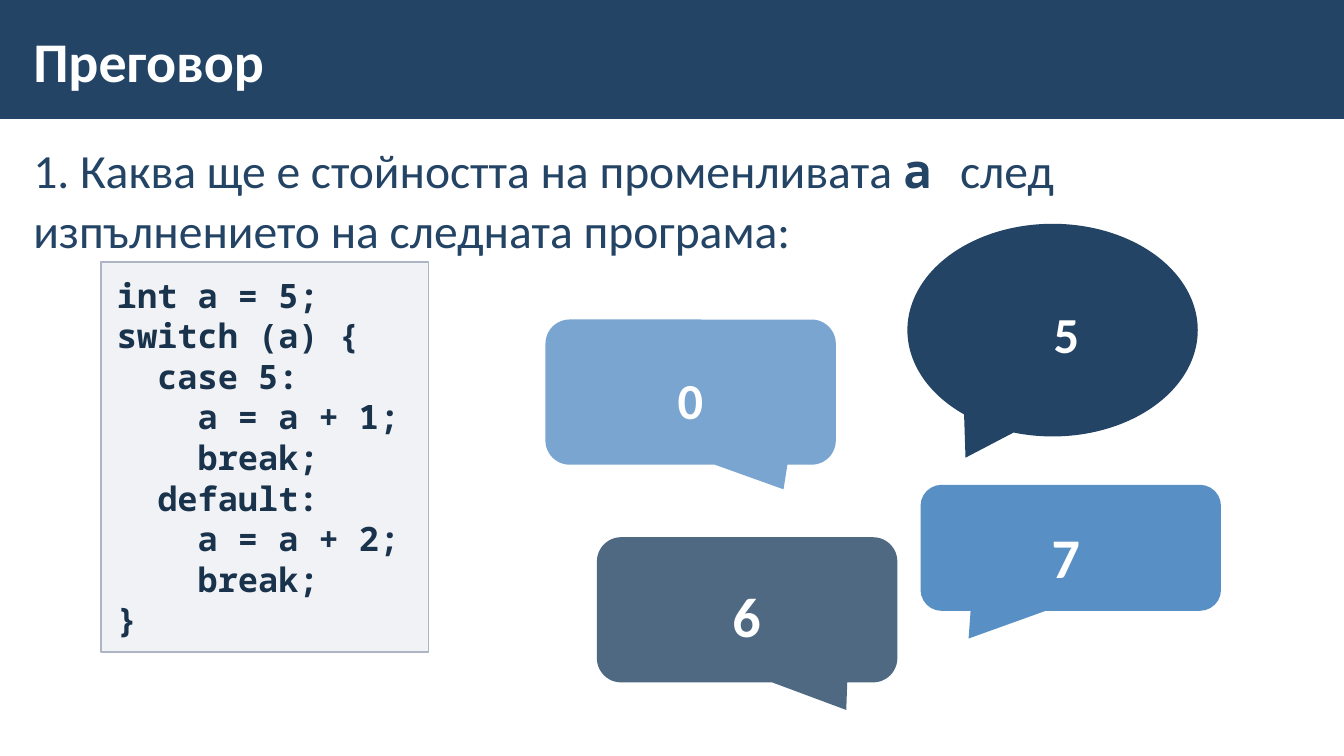
import dataclasses

import pptx
import pptx.dml.color
import pptx.enum.shapes
import pptx.enum.text
import pptx.oxml
import pptx.oxml.ns
import pptx.util

EMU_PER_PX = 9144  # 100 px to the inch
SHAPE = pptx.enum.shapes.MSO_SHAPE
ALIGN = pptx.enum.text.PP_ALIGN
ANCHOR = pptx.enum.text.MSO_ANCHOR


@dataclasses.dataclass(frozen=True)
class Theme:
    navy: str = "234465"
    blue: str = "588FC5"
    white: str = "FFFFFF"
    code_ink: str = "1A334C"
    code_fill: str = "A3ABBC"
    code_line: str = "ADB4C3"
    sans: str = "Calibri"
    mono: str = "Noto Sans Mono"
    title_size: int = 40
    question_size: int = 34
    code_size: int = 24
    code_pitch: int = 29
    answer_size: int = 36
    big_answer_size: int = 40


THEME = Theme()


@dataclasses.dataclass(frozen=True)
class Answer:
    text: str
    size: int
    outline: SHAPE
    box: tuple
    tail: tuple
    color: str
    label: tuple  # offset from the callout, then size
    opacity: int = 100
    align: ALIGN = ALIGN.CENTER
    indent: int = 0
    spacing: float = 1.1


TITLE = "Преговор"
QUESTION = ("1. Каква ще е стойността на променливата ", "а ", "след ",
            "изпълнението на следната програма:")
CODE = [(0, "int a = 5;"), (0, "switch (a) {"), (1, "case 5:"),
        (2, "a = a + 1;"), (2, "break;"), (1, "default:"),
        (2, "a = a + 2;"), (2, "break;"), (0, "}")]
CODE_INDENT = 40
ROUNDED = SHAPE.ROUNDED_RECTANGULAR_CALLOUT
ANSWERS = [
    Answer("5", THEME.answer_size, SHAPE.OVAL_CALLOUT, (900, 222, 288, 211),
           (-0.3, 0.6), THEME.navy, (62, 67, 171, 84),
           align=ALIGN.LEFT, indent=67, spacing=1),
    Answer("7", THEME.big_answer_size, ROUNDED, (913, 481, 298, 125),
           (-0.34, 0.72), THEME.blue, (-3, 19, 294, 94)),
    Answer("0", THEME.answer_size, ROUNDED, (541, 317, 288, 144),
           (0.32, 0.67), THEME.blue, (115, 31, 91, 87),
           opacity=80, align=ALIGN.LEFT),
    Answer("6", THEME.big_answer_size, ROUNDED, (592, 533, 298, 144),
           (0.33, 0.69), THEME.navy, (14, 25, 269, 94), opacity=80),
]


def px(*lengths):
    return [pptx.util.Emu(length * EMU_PER_PX) for length in lengths]


def rgb(color):
    return pptx.dml.color.RGBColor.from_string(color)


def paint(shape, color, opacity=100):
    shape.fill.solid()
    shape.fill.fore_color.rgb = rgb(color)
    if opacity < 100:
        fill_color = shape._element.spPr.find(".//" + pptx.oxml.ns.qn("a:srgbClr"))
        fill_color.append(pptx.oxml.parse_xml(
            f'<a:alpha {pptx.oxml.ns.nsdecls("a")} val="{opacity * 1000}"/>'))


def add_filled(shapes, outline, box, color, opacity=100):
    shape = shapes.add_shape(outline, *px(*box))
    shape.shadow.inherit = False
    paint(shape, color, opacity)
    shape.line.fill.background()
    return shape


def place(shape, box):
    shape.left, shape.top, shape.width, shape.height = px(*box)


def set_frame(frame, side, edge, anchor=ANCHOR.TOP):
    frame.word_wrap = True
    frame.auto_size = pptx.enum.text.MSO_AUTO_SIZE.NONE
    frame.vertical_anchor = anchor
    frame.margin_left, frame.margin_right = px(side, side)
    frame.margin_top, frame.margin_bottom = px(edge, edge)


def format_paragraph(paragraph, align=ALIGN.LEFT, spacing=1, gap=0, indent=0):
    """Set alignment and spacing, with no bullet and a left indent in px."""
    paragraph.alignment = align
    paragraph.line_spacing = spacing
    paragraph.space_before = paragraph.space_after = pptx.util.Pt(gap)
    properties = paragraph._p.get_or_add_pPr()
    properties.set("marL", str(indent * EMU_PER_PX))
    properties.set("indent", "0")
    properties.append(pptx.oxml.parse_xml(
        f'<a:buNone {pptx.oxml.ns.nsdecls("a")}/>'))


def add_run(paragraph, text, size, color, font=THEME.sans, bold=True):
    run = paragraph.add_run()
    run.text = text
    run.font.size = pptx.util.Pt(size)
    run.font.color.rgb = rgb(color)
    run.font.name = font
    run.font.bold = bold


def header(slide, box):
    left, top, width, height = box
    band = add_filled(slide.shapes, SHAPE.RECTANGLE, box, THEME.navy)
    title = slide.shapes.title
    title._element.addprevious(band._element)
    place(title, (left + 21, top + 13, 1039, height - 23))
    set_frame(title.text_frame, 12, 4, ANCHOR.MIDDLE)
    paragraph = title.text_frame.paragraphs[0]
    format_paragraph(paragraph)
    add_run(paragraph, TITLE, THEME.title_size, THEME.white)


def question(body, box):
    place(body, box)
    set_frame(body.text_frame, 12, 4)
    paragraph = body.text_frame.paragraphs[0]
    format_paragraph(paragraph, spacing=1.05, gap=6)
    before, variable, after, second_line = QUESTION
    style = (THEME.question_size, THEME.navy)
    add_run(paragraph, before, *style, bold=False)
    add_run(paragraph, variable, *style, font=THEME.mono)
    add_run(paragraph, after, *style, bold=False)
    paragraph.add_line_break()
    add_run(paragraph, second_line, *style, bold=False)


def code_listing(listing, box):
    place(listing, box)
    paint(listing, THEME.code_fill, 15)
    listing.line.color.rgb = rgb(THEME.code_line)
    listing.line.width = pptx.util.Pt(1)
    frame = listing.text_frame
    set_frame(frame, 16, 12)
    for number, (level, code) in enumerate(CODE):
        paragraph = frame.add_paragraph() if number else frame.paragraphs[0]
        format_paragraph(paragraph, spacing=pptx.util.Pt(THEME.code_pitch),
                         indent=level * CODE_INDENT)
        add_run(paragraph, code, THEME.code_size, THEME.code_ink, THEME.mono)


def answer_bubble(slide, answer):
    shapes = slide.shapes.add_group_shape().shapes
    callout = add_filled(shapes, answer.outline, answer.box,
                         answer.color, answer.opacity)
    for position, value in enumerate(answer.tail):
        callout.adjustments[position] = value
    left, top = answer.box[:2]
    dx, dy, width, height = answer.label
    label = shapes.add_textbox(*px(left + dx, top + dy, width, height))
    set_frame(label.text_frame, 16, 12)
    paragraph = label.text_frame.paragraphs[0]
    format_paragraph(paragraph, answer.align, answer.spacing,
                     indent=answer.indent)
    add_run(paragraph, answer.text, answer.size, THEME.white)


def quiz_slide(deck):
    slide = deck.slides.add_slide(deck.slide_layouts.get_by_name("Two Content"))
    body, listing = list(slide.placeholders)[1:]
    header(slide, (0, -2, 1333, 120))
    question(body, (21, 133, 1291, 567))
    code_listing(listing, (100, 260, 325, 387))
    for answer in ANSWERS:
        answer_bubble(slide, answer)


def main():
    deck = pptx.Presentation()
    deck.slide_width, deck.slide_height = px(1333, 750)
    quiz_slide(deck)
    deck.save("out.pptx")


if __name__ == "__main__":
    main()
